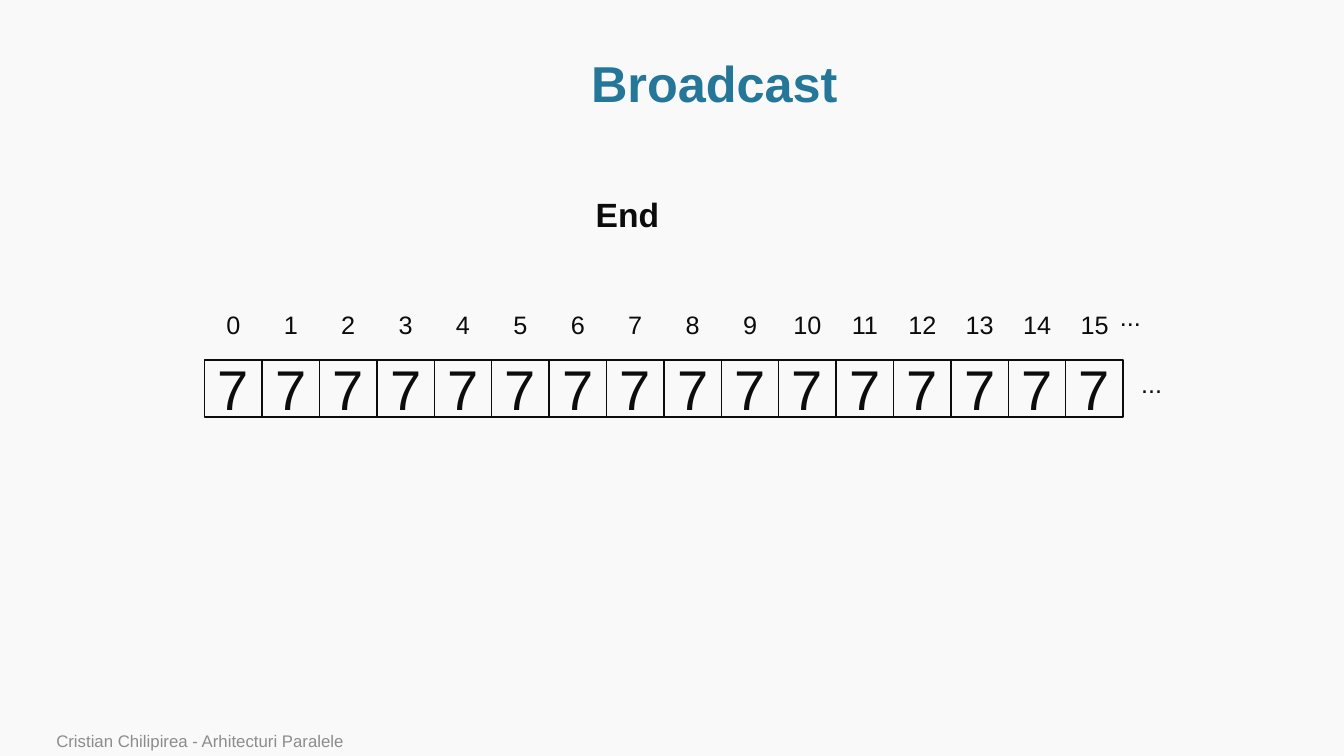
"""Build the closing slide of the Broadcast example: an indexed row of equal cells."""
from dataclasses import dataclass

from pptx import Presentation
from pptx.dml.color import RGBColor
from pptx.enum.shapes import MSO_SHAPE
from pptx.enum.text import MSO_ANCHOR, PP_ALIGN
from pptx.util import Inches, Pt


@dataclass(frozen=True)
class Theme:
    font: str = "Arial"
    paper: str = "F9F9F9"
    ink: str = "0C0C0C"
    accent: str = "247798"
    muted: str = "8C8C8C"
    title: int = 36
    value: int = 40
    step: int = 24
    label: int = 18
    footer: int = 12


T = Theme()
COUNT = 16
LEFT, TOP = 2.03, 3.57
CELL = 9.11 / COUNT
INDEX_TOP, LABEL_H = 3.02, 0.4


def write(sp, text, size, color=T.ink, bold=False, align=PP_ALIGN.CENTER,
          anchor=MSO_ANCHOR.MIDDLE, wrap=True):
    tf = sp.text_frame
    tf.word_wrap = wrap
    tf.vertical_anchor = anchor
    p = tf.paragraphs[0]
    p.text = text
    p.alignment = align
    p.font.name = T.font
    p.font.size = Pt(size)
    p.font.bold = bold
    p.font.color.rgb = RGBColor.from_string(color)
    return p


def add_text(x, y, w, h, *args, **kwargs):
    sp = s.shapes.add_textbox(Inches(x), Inches(y), Inches(w), Inches(h))
    return write(sp, *args, **kwargs)


prs = Presentation()
prs.slide_width, prs.slide_height = Inches(13.33), Inches(7.5)
s = prs.slides.add_slide(prs.slide_layouts[6])
s.background.fill.solid()
s.background.fill.fore_color.rgb = RGBColor.from_string(T.paper)

title = add_text(1.14, 0.51, 11.89, 0.69, "Broadcast", T.title, T.accent, bold=True)
title.line_spacing = 0.9

for i in range(COUNT):
    x = LEFT + i * CELL
    sp = s.shapes.add_shape(MSO_SHAPE.RECTANGLE, Inches(x), Inches(TOP),
                            Inches(CELL), Inches(CELL))
    sp.shadow.inherit = False
    sp.fill.background()
    sp.line.color.rgb = RGBColor.from_string(T.ink)
    sp.line.width = Pt(1)
    write(sp, "7", T.value)
    w = 0.34 if i < 10 else 0.48
    add_text(x + (CELL - w) / 2, INDEX_TOP, w, LABEL_H, str(i), T.label,
             anchor=MSO_ANCHOR.TOP, wrap=False)

for x, y in ((11.01, 2.94), (11.22, 3.6)):
    add_text(x, y, 0.41, LABEL_H, "...", T.label, align=PP_ALIGN.LEFT,
             anchor=MSO_ANCHOR.TOP, wrap=False)

add_text(5.81, 1.87, 0.84, 0.5, "End", T.step, bold=True, align=PP_ALIGN.LEFT,
         anchor=MSO_ANCHOR.TOP, wrap=False)
add_text(0.46, 7.22, 9.82, 0.28, "Cristian Chilipirea - Arhitecturi Paralele",
         T.footer, T.muted, align=PP_ALIGN.LEFT, anchor=MSO_ANCHOR.BOTTOM)

prs.save("out.pptx")
